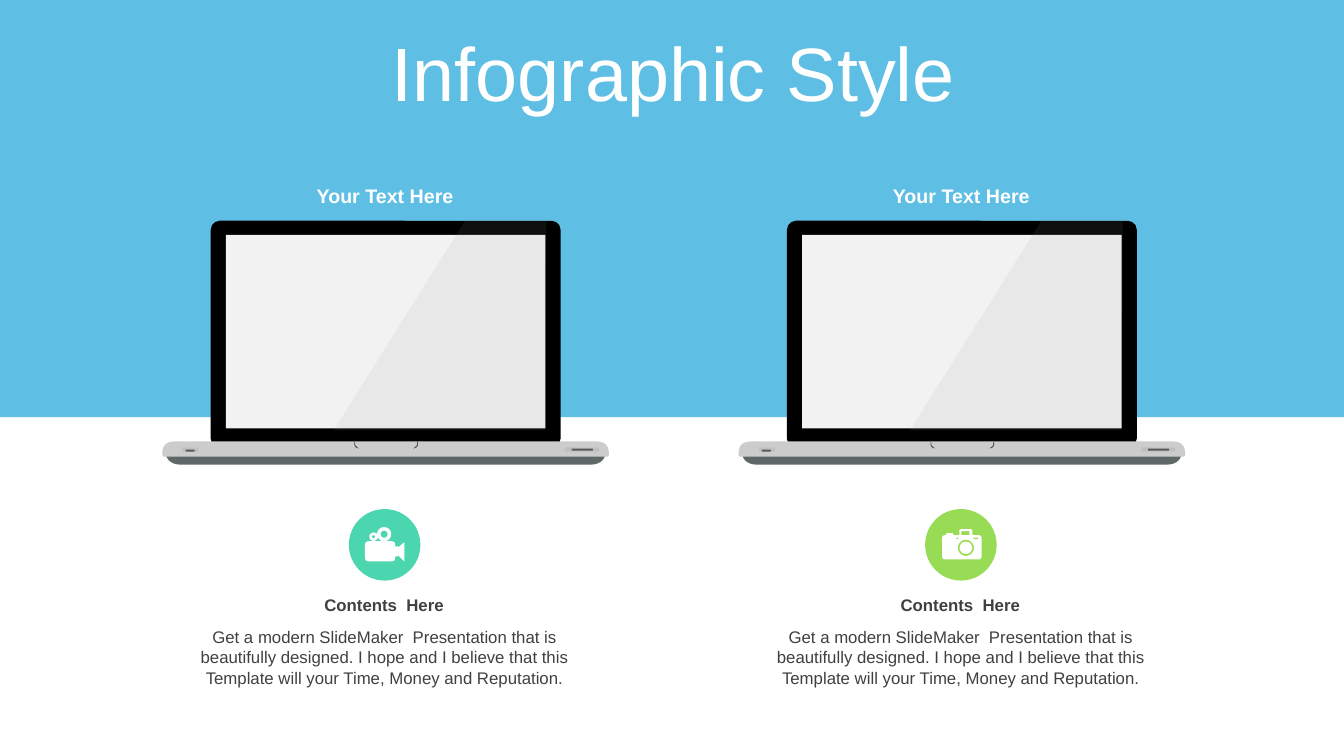
from dataclasses import dataclass
from math import cos, pi, sin

from lxml.etree import SubElement
from pptx import Presentation
from pptx.dml.color import RGBColor
from pptx.enum.shapes import MSO_SHAPE
from pptx.enum.text import MSO_ANCHOR, MSO_AUTO_SIZE, PP_ALIGN
from pptx.oxml.ns import qn
from pptx.util import Inches, Pt

# The slide is a grid of square cells; every length counts cells
COLS, ROWS = 1333, 750
CELL = Inches(13.33) / COLS
PANEL_LEFT, PANEL_TOP, PANEL_STEP = 159, 178, 571.5


@dataclass(frozen=True)
class Theme:
    font: str = "Arial"
    white: str = "FFFFFF"
    ink: str = "404040"
    band: str = "5EBEE4"
    lid: str = "000000"
    screen: str = "F2F2F2"
    base: str = "CCCCCC"
    foot: str = "5F6767"
    notch: str = "4D4D4D"
    port: str = "BFBFBF"
    slot: str = "595959"
    glare: str = "999999"
    title_size: int = 54
    label_size: int = 14
    body_size: int = 12


THEME = Theme()


def cells(n):
    return round(n * CELL)


def paint(sp, color, alpha=None):
    sp.shadow.inherit = False
    sp.fill.solid()
    sp.fill.fore_color.rgb = RGBColor.from_string(color)
    sp.line.fill.background()
    if alpha is not None:
        clr = sp.element.spPr.find(".//" + qn("a:srgbClr"))
        SubElement(clr, qn("a:alpha"), val=str(alpha * 1000))


def preset(slide, origin, kind, box, color, adj=None):
    x, y, w, h = box
    sp = slide.shapes.add_shape(kind, cells(origin[0] + x), cells(origin[1] + y),
                                cells(w), cells(h))
    if adj is not None:
        sp.adjustments[0] = adj
    paint(sp, color)


def rounded(*corners):
    """Outline through (x, y, radius) corners, each rounded by a curve."""
    pts = []
    for i, (x, y, radius) in enumerate(corners):
        if not radius:
            pts.append((x, y))
            continue
        ends = []
        for nx, ny, _ in (corners[i - 1], corners[(i + 1) % len(corners)]):
            dist = ((nx - x) ** 2 + (ny - y) ** 2) ** 0.5
            k = min(radius / dist, 1)
            ends.append((x + (nx - x) * k, y + (ny - y) * k))
        (ax, ay), (bx, by) = ends
        for t in (n / 6 for n in range(7)):
            a, c, b = (1 - t) ** 2, 2 * t * (1 - t), t * t
            pts.append((a * ax + c * x + b * bx, a * ay + c * y + b * by))
    return pts


def circle(cx, cy, radius, steps=36):
    return [(cx + radius * cos(2 * pi * n / steps), cy + radius * sin(2 * pi * n / steps))
            for n in range(steps)]


def rect(x, y, w, h):
    return [(x, y), (x + w, y), (x + w, y + h), (x, y + h)]


def freeform(slide, origin, contours, color, alpha=None):
    outlines = [[(cells(origin[0] + x), cells(origin[1] + y)) for x, y in c]
                for c in contours]
    builder = slide.shapes.build_freeform(*outlines[0][0])
    for i, pts in enumerate(outlines):
        if i:
            builder.move_to(*pts[0])
        builder.add_line_segments(pts[1:], close=True)
    paint(builder.convert_to_shape(), color, alpha)


def write(tf, text, size, color, bold=False):
    tf.word_wrap = True
    p = tf.paragraphs[0]
    p.alignment = PP_ALIGN.CENTER
    r = p.add_run()
    r.text = text
    for name, value in {"name": THEME.font, "size": Pt(size), "bold": bold}.items():
        setattr(r.font, name, value)
    r.font.color.rgb = RGBColor.from_string(color)
    return p


def text_box(slide, origin, box, *style):
    x, y, w, h = box
    sp = slide.shapes.add_textbox(cells(origin[0] + x), cells(origin[1] + y),
                                  cells(w), cells(h))
    write(sp.text_frame, *style)
    sp.text_frame.auto_size = MSO_AUTO_SIZE.SHAPE_TO_FIT_TEXT


def laptop(slide, origin):
    # Foot, lid and screen
    freeform(slide, origin, [rounded((5, 232, 2), (442, 232, 3),
                                     (440, 244, 14), (7, 244, 14))], THEME.foot)
    preset(slide, origin, MSO_SHAPE.ROUNDED_RECTANGLE, (50, 2, 347, 225), THEME.lid, 0.04)
    preset(slide, origin, MSO_SHAPE.RECTANGLE, (65, 16, 317, 192), THEME.screen)
    # Base with its opening notch
    freeform(slide, origin, [rounded((2, 221, 12), (445, 221, 12),
                                     (445, 236, 2), (2, 236, 2))], THEME.base)
    hook = [(193, 221), (193.5, 225), (197, 228), (194, 227), (192.5, 225), (192.5, 221)]
    freeform(slide, origin, [hook, [(448 - x, y) for x, y in hook]], THEME.notch)
    # Ports
    for box, color in (((22, 227, 16, 4), THEME.port), ((25, 229, 9, 2), THEME.slot),
                       ((401, 227, 34, 4), THEME.port), ((408, 228, 21, 2), THEME.slot)):
        preset(slide, origin, MSO_SHAPE.ROUNDED_RECTANGLE, box, color, 0.28)
    # Glare
    freeform(slide, origin, [[(303, 1), (383, 1), (382, 210), (172, 210)]], THEME.glare, 10)


# Icon outlines, measured from the corner of the badge
MOVIE_CAMERA = [
    rounded((16, 32, 4), (46, 32, 4), (46, 37, 0), (49, 37, 1), (49, 38, 0), (55, 33, 0),
            (55, 52, 0), (49, 46, 0), (49, 47, 1), (46, 47, 0), (46, 52, 4), (16, 52, 4)),
    circle(35, 25, 7), circle(35, 25, 3.5),
    circle(24.5, 27.5, 4.2), circle(24.5, 27.5, 1.5),
]
PHOTO_CAMERA = [
    rounded((17, 26, 3), (21, 26, 0), (21, 24, 1), (28, 24, 1), (28, 26, 0), (34, 26, 0),
            (34, 20, 2), (47, 20, 2), (47, 26, 0), (56, 26, 3), (56, 50, 3), (17, 50, 3)),
    circle(40.5, 38.5, 8), circle(40.5, 38.5, 6.2),
    rect(36, 22, 8, 4), rect(31, 28.5, 2, 1.5), rect(48, 28.5, 5, 1.5),
]


def panel(slide, origin, label, badge_color, icon, heading, body):
    x, y = origin
    laptop(slide, (x, y + 39))
    text_box(slide, origin, (101, 0, 244, 34), label, THEME.label_size, THEME.white, True)
    text_box(slide, origin, (22, 439, 401, 71), body, THEME.body_size, THEME.ink)
    text_box(slide, origin, (21, 407, 402, 30), heading, THEME.body_size, THEME.ink, True)
    badge = (x + 187, y + 327)
    preset(slide, badge, MSO_SHAPE.OVAL, (0, 0, 71, 71), badge_color)
    freeform(slide, badge, icon, THEME.white)


def title(slide, text):
    sp = slide.shapes.title
    for name, n in {"left": 35, "top": 37, "width": 1266, "height": 79}.items():
        setattr(sp, name, cells(n))
    tf = sp.text_frame
    tf.auto_size = MSO_AUTO_SIZE.NONE
    tf.vertical_anchor = MSO_ANCHOR.MIDDLE
    write(tf, text, THEME.title_size, THEME.white).line_spacing = 0.9
    # Bring the title in front of the band
    sp.element.getparent().append(sp.element)


def main():
    prs = Presentation()
    prs.slide_width, prs.slide_height = cells(COLS), cells(ROWS)
    slide = prs.slides.add_slide(prs.slide_layouts[5])
    preset(slide, (0, 0), MSO_SHAPE.RECTANGLE, (0, 0, COLS, 414), THEME.band)
    body = ("Get a modern SlideMaker  Presentation that is beautifully designed. "
            "I hope and I believe that this Template will your Time, Money and Reputation.")
    for i, (color, icon) in enumerate((("4CD6B0", MOVIE_CAMERA), ("98DC56", PHOTO_CAMERA))):
        panel(slide, (PANEL_LEFT + i * PANEL_STEP, PANEL_TOP), "Your Text Here",
              color, icon, "Contents  Here", body)
    title(slide, "Infographic Style")
    prs.save("out.pptx")


if __name__ == "__main__":
    main()
